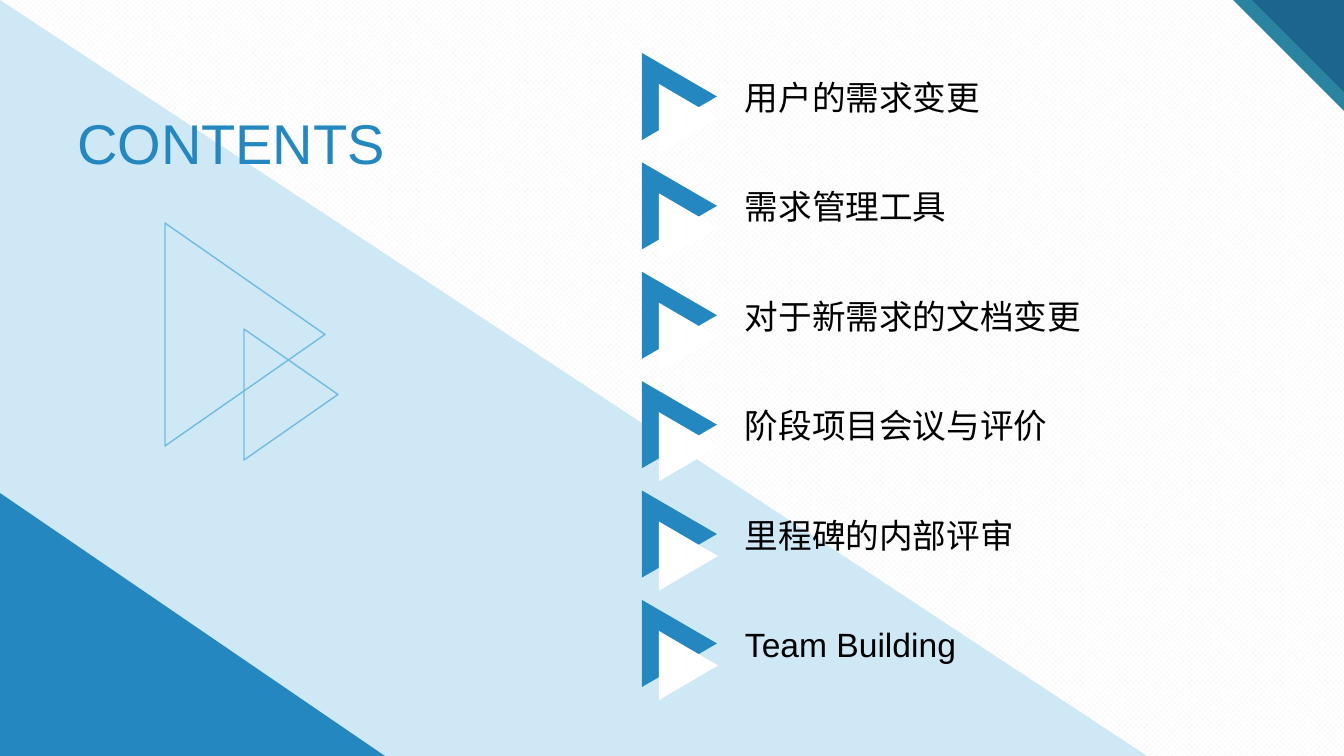
from pptx import Presentation
from pptx import util as u
from pptx.dml.color import RGBColor
from pptx.enum import dml, shapes, text

PX = 12192000 / 1344
WIDTH, HEIGHT = 1344, 756

BLUE = RGBColor(0x24, 0x87, 0xBF)
PALE = RGBColor(0xCF, 0xE8, 0xF6)
SKY = RGBColor(0x70, 0xBA, 0xE4)
TEAL = RGBColor(0x2A, 0x83, 0x9F)
NAVY = RGBColor(0x1B, 0x65, 0x8F)
HATCH = RGBColor(0xF3, 0xF3, 0xF3)
WHITE = RGBColor(0xFF, 0xFF, 0xFF)
BLACK = RGBColor(0, 0, 0)

TITLE = "CONTENTS"
TOPICS = [
    "用户的需求变更",
    "需求管理工具",
    "对于新需求的文档变更",
    "阶段项目会议与评价",
    "里程碑的内部评审",
    "Team Building",
]
TOP_CORNERS = [(111, TEAL), (92, NAVY)]
LEFT_WEDGES = [(1147, 756, PALE), (385, 263, BLUE)]
OUTLINE_ARROWS = [(165, 223, 160, 223), (244, 329, 94, 131)]
FIRST_TOP, LAST_TOP = 53, 600


def px(*lengths):
    return [u.Emu(round(length * PX)) for length in lengths]


def add_triangle(kind, left, top, width, height, turn=0, fill=None, line=None):
    if turn == 90:
        left, top = left + (width - height) / 2, top + (height - width) / 2
        width, height = height, width
    triangle = slide.shapes.add_shape(kind, *px(left, top, width, height))
    triangle.rotation = turn
    triangle.shadow.inherit = False
    if fill is None:
        triangle.fill.background()
    else:
        triangle.fill.solid()
        triangle.fill.fore_color.rgb = fill
    if line is None:
        triangle.line.fill.background()
    else:
        triangle.line.color.rgb = line
        triangle.line.width = u.Pt(1)


def add_arrow(left, top, width, height, **colours):
    add_triangle(shapes.MSO_SHAPE.ISOSCELES_TRIANGLE, left, top, width, height,
                 turn=90, **colours)


def add_wedge(left, top, width, height, **style):
    add_triangle(shapes.MSO_SHAPE.RIGHT_TRIANGLE, left, top, width, height, **style)


def add_text(words, left, top, width, height, size=24, colour=BLACK,
             align=text.PP_ALIGN.LEFT, wrap=True, margin=0):
    frame = slide.shapes.add_textbox(*px(left, top, width, height)).text_frame
    frame.word_wrap = wrap
    frame.vertical_anchor = text.MSO_ANCHOR.MIDDLE
    frame.margin_left = frame.margin_right = px(margin)[0]
    paragraph = frame.paragraphs[0]
    paragraph.alignment = align
    run = paragraph.add_run()
    run.text = words
    run.font.name = "Arial"
    run.font.size = u.Pt(size)
    run.font.color.rgb = colour


deck = Presentation()
deck.slide_width, deck.slide_height = px(WIDTH, HEIGHT)
slide = deck.slides.add_slide(deck.slide_layouts[6])

backdrop = slide.background.fill
backdrop.patterned()
backdrop.pattern = dml.MSO_PATTERN.OUTLINED_DIAMOND
backdrop.fore_color.rgb = HATCH
backdrop.back_color.rgb = WHITE

for side, colour in TOP_CORNERS:
    add_wedge(WIDTH - side, 0, side, side, turn=180, fill=colour)
for width, height, colour in LEFT_WEDGES:
    add_wedge(0, HEIGHT - height, width, height, fill=colour)

add_text(TITLE, 40, 85, 382, 115, size=40, colour=BLUE,
         align=text.PP_ALIGN.CENTER, wrap=False, margin=10)
for box in OUTLINE_ARROWS:
    add_arrow(*box, line=SKY)

step = (LAST_TOP - FIRST_TOP) / (len(TOPICS) - 1)
for index, topic in enumerate(TOPICS):
    top = FIRST_TOP + index * step
    add_arrow(642, top, 75, 87, fill=BLUE)
    add_arrow(659, top + 31, 59, 69, fill=WHITE)
    add_text(topic, 745, top - 12, 442, 112)

deck.save("out.pptx")
